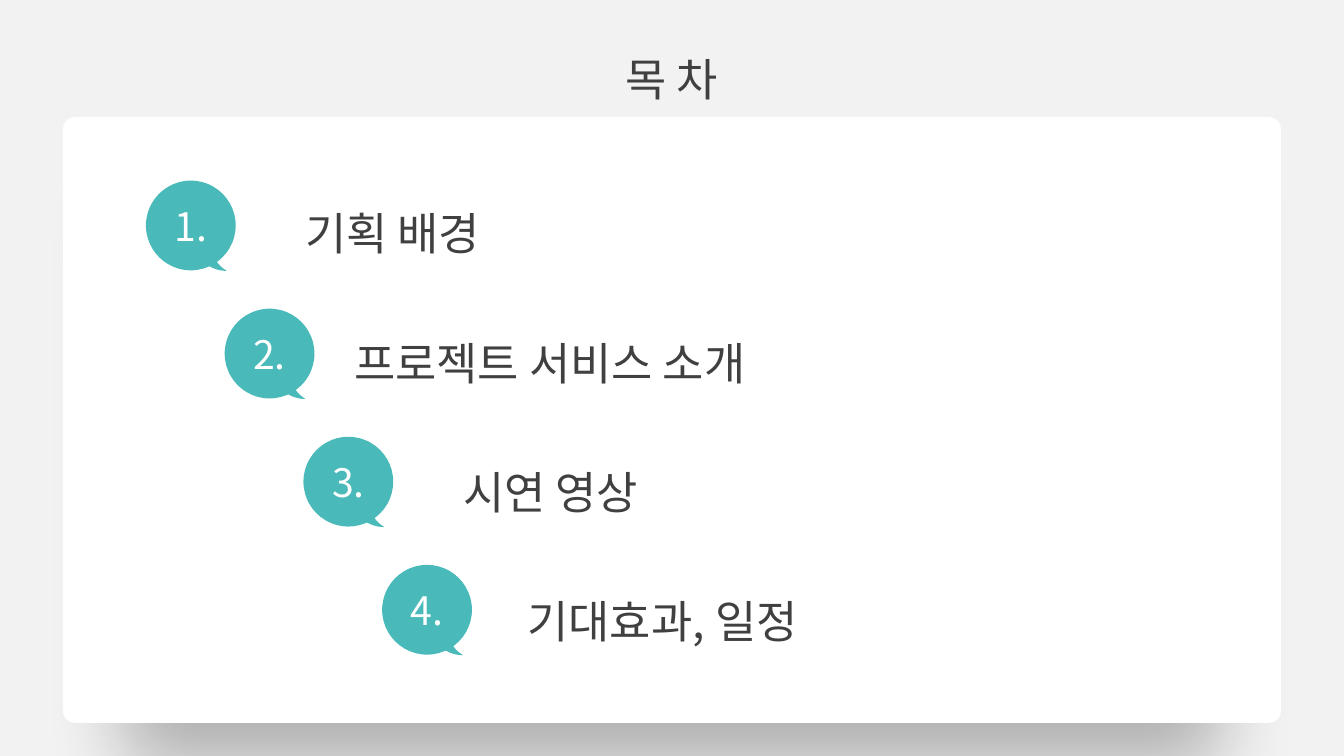
from lxml import etree
from pptx import Presentation
from pptx import util as u
from pptx.dml.color import RGBColor
from pptx.enum import shapes, text
from pptx.oxml import ns

COLUMNS, ROWS = 128, 72
LABEL_WIDTH, LABEL_HEIGHT = 54.8, 7.9


def color(value):
    return RGBColor.from_string(value)


def write(shape, content, size=32, fill="404040", font="Noto Sans CJK KR",
          spacing=1.0, anchor=text.MSO_ANCHOR.TOP, wrap=True, grow=False):
    frame = shape.text_frame
    frame.word_wrap = wrap
    frame.vertical_anchor = anchor
    frame.auto_size = text.MSO_AUTO_SIZE.SHAPE_TO_FIT_TEXT if grow else text.MSO_AUTO_SIZE.NONE
    paragraph = frame.paragraphs[0]
    paragraph.alignment = text.PP_ALIGN.CENTER
    paragraph.line_spacing = spacing
    run = paragraph.add_run()
    run.text = content
    run.font.size = u.Pt(size)
    run.font.name = font
    run.font.color.rgb = color(fill)
    east_asian = etree.SubElement(run.font._element, ns.qn("a:ea"))
    east_asian.set("typeface", font)


class AgendaSlide:
    paper, card_fill, accent = "F2F2F2", "FFFFFF", "49BAB9"

    def __init__(self, presentation):
        self.column = presentation.slide_width / COLUMNS
        self.row = presentation.slide_height / ROWS
        self.slide = presentation.slides.add_slide(presentation.slide_layouts[5])
        self.slide.background.fill.solid()
        self.slide.background.fill.fore_color.rgb = color(self.paper)

    def box(self, left, top, width, height):
        return (round(left * self.column), round(top * self.row),
                round(width * self.column), round(height * self.row))

    def shape(self, parent, kind, fill, *area):
        shape = parent.add_shape(kind, *self.box(*area))
        shape.shadow.inherit = False
        shape.fill.solid()
        shape.fill.fore_color.rgb = color(fill)
        shape.line.fill.background()
        return shape

    def title(self, content, left, top):
        title = self.slide.shapes.title
        title.left, title.top, title.width, title.height = self.box(
            left, top, LABEL_WIDTH, LABEL_HEIGHT)
        write(title, content, spacing=1.5, grow=True)

    def card(self, *area):
        card = self.shape(self.slide.shapes, shapes.MSO_SHAPE.ROUNDED_RECTANGLE,
                          self.card_fill, *area)
        card.adjustments[0] = 0.02
        effects = card._element.spPr.find(ns.qn("a:effectLst"))
        shadow = etree.SubElement(
            effects, ns.qn("a:outerShdw"), blurRad=str(u.Pt(56)), dist=str(u.Pt(51)),
            dir="5400000", sx="90000", sy="90000", algn="ctr", rotWithShape="0")
        black = etree.SubElement(shadow, ns.qn("a:srgbClr"), val="000000")
        etree.SubElement(black, ns.qn("a:alpha"), val="27000")

    def bubble(self, content, left, top):
        group = self.slide.shapes.add_group_shape().shapes
        self.shape(group, shapes.MSO_SHAPE.MOON, self.accent, left + 5, top + 4.3, 2.7, 4.3)
        circle = self.shape(group, shapes.MSO_SHAPE.OVAL, self.accent, left, top, 8.55, 8.55)
        write(circle, content, size=28, fill="FFFFFF",
              anchor=text.MSO_ANCHOR.MIDDLE, wrap=False)

    def label(self, content, center, top):
        label = self.slide.shapes.add_textbox(
            *self.box(center - LABEL_WIDTH / 2, top, LABEL_WIDTH, LABEL_HEIGHT))
        write(label, content, spacing=1.5, grow=True)


def main():
    presentation = Presentation()
    presentation.slide_width = u.Inches(13.33)
    presentation.slide_height = u.Inches(7.5)
    agenda = AgendaSlide(presentation)
    agenda.title("목 차", (COLUMNS - LABEL_WIDTH) / 2, 1.9)
    agenda.card(6, 11.15, 116, 57.7)
    topics = [("기획 배경", 37.4), ("프로젝트 서비스 소개 ", 52.85),
              ("시연 영상", 52.45), ("기대효과, 일정", 63.1)]
    for index, (topic, center) in enumerate(topics):
        agenda.bubble(f"{index + 1}.", 13.9 + 7.5 * index, 17.2 + 12.2 * index)
        agenda.label(topic, center, 16.6 + 12.3 * index)
    presentation.save("out.pptx")


if __name__ == "__main__":
    main()
